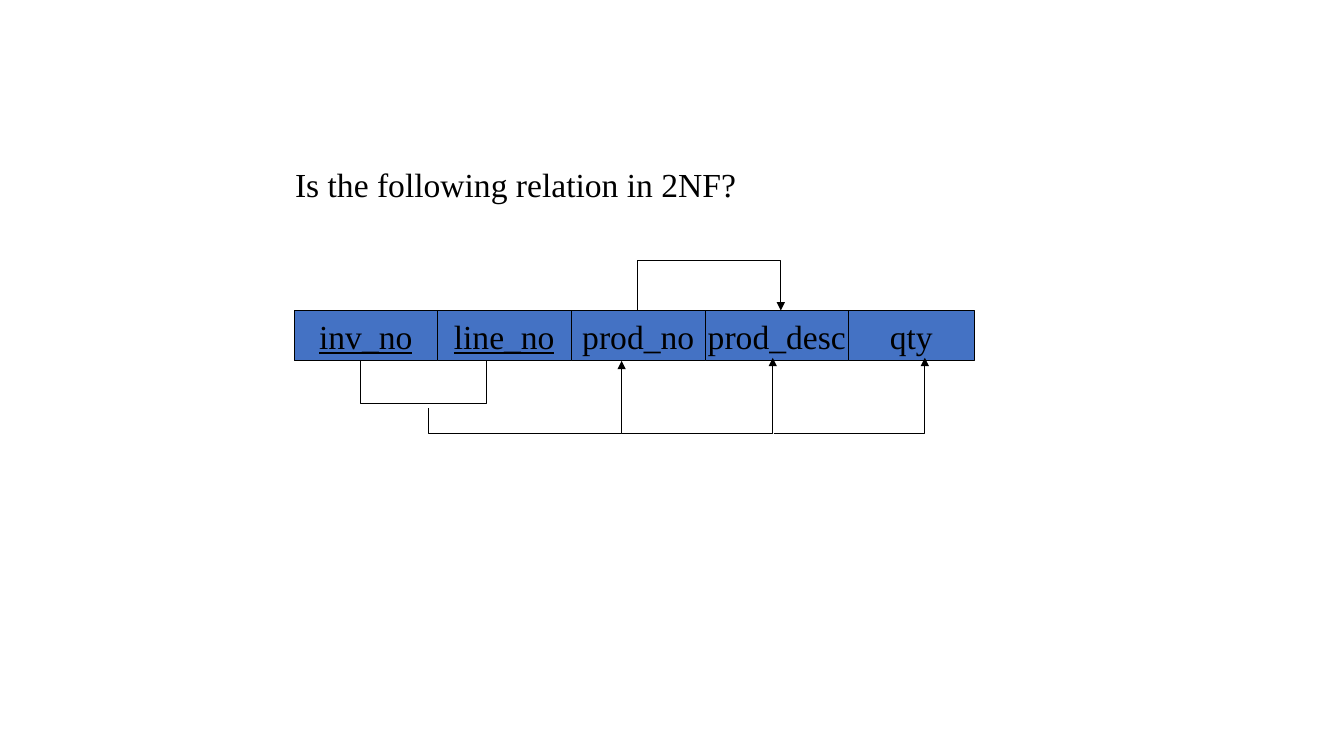
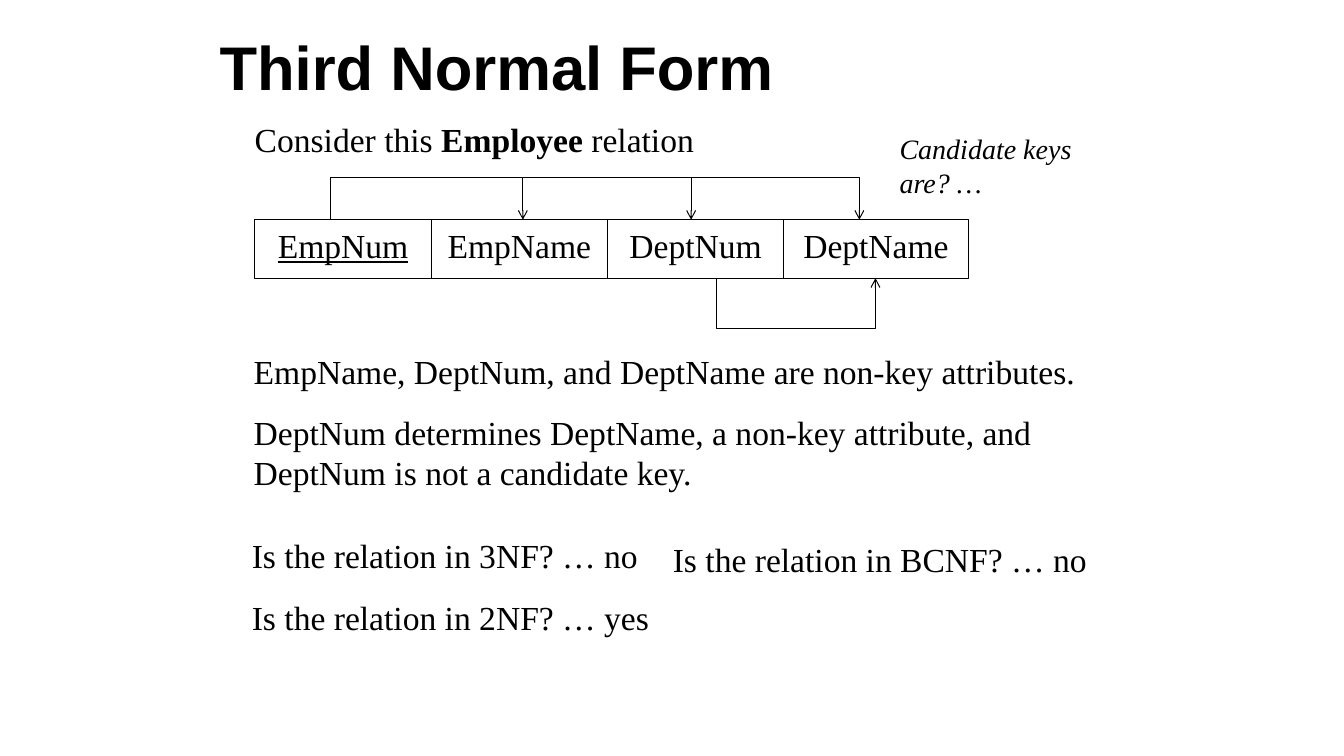
from itertools import accumulate

from lxml import etree
from pptx import Presentation
from pptx.dml.color import RGBColor
from pptx.enum import shapes, text
from pptx.oxml.ns import qn
from pptx.util import Inches, Pt

BLACK = RGBColor(0x00, 0x00, 0x00)
WHITE = RGBColor(0xFF, 0xFF, 0xFF)
BLUE = RGBColor(0x44, 0x72, 0xC4)

BODY = {"name": "Times New Roman", "size": Pt(24)}
TITLE = {"name": "Arial", "size": Pt(44), "bold": True}
NOTE = {**BODY, "size": Pt(20), "italic": True}
TITLE_ONLY, BLANK = 5, 6


def add_span(para, words, **style):
    span = para.add_run()
    span.text = words
    span.font.color.rgb = BLACK
    for name, value in style.items():
        setattr(span.font, name, value)


def add_text(page, box, paragraphs, style=BODY, wrap=True, inset=0.1):
    """Each paragraph is a list of (words, extra format) pairs."""
    frame = page.shapes.add_textbox(*map(Inches, box)).text_frame
    frame.word_wrap = wrap
    frame.margin_left = Inches(inset)
    for index, spans in enumerate(paragraphs):
        para = frame.add_paragraph() if index else frame.paragraphs[0]
        if index:
            para.space_before = Pt(15)
        for words, extra in spans:
            add_span(para, words, **{**style, **extra})


def add_title(page, box, words):
    title = page.shapes.title
    title.left, title.top, title.width, title.height = map(Inches, box)
    frame = title.text_frame
    frame.auto_size = text.MSO_AUTO_SIZE.NONE
    frame.vertical_anchor = text.MSO_ANCHOR.MIDDLE
    para = frame.paragraphs[0]
    para.alignment = text.PP_ALIGN.LEFT
    para.line_spacing = 0.9
    add_span(para, words, **TITLE)


def add_relation(page, origin, height, fields, keys, fill, anchor, wrap):
    """Draw a row of attributes from (name, width) pairs, keys underlined."""
    left, top = origin
    offsets = accumulate((width for _, width in fields), initial=0)
    for (name, width), offset in zip(fields, offsets):
        field = page.shapes.add_shape(
            shapes.MSO_SHAPE.RECTANGLE, Inches(left + offset), Inches(top),
            Inches(width), Inches(height))
        field.shadow.inherit = False
        field.fill.solid()
        field.fill.fore_color.rgb = fill
        field.line.color.rgb = BLACK
        field.line.width = Pt(0.75)
        frame = field.text_frame
        frame.word_wrap = wrap
        frame.vertical_anchor = anchor
        para = frame.paragraphs[0]
        para.alignment = text.PP_ALIGN.CENTER
        add_span(para, name, **BODY, underline=name in keys)


def add_dependency(page, origin, points, arrow=None):
    """Draw a bent line through points measured from the relation's corner."""
    left, top = origin
    start, *rest = [(Inches(left + x), Inches(top + y)) for x, y in points]
    builder = page.shapes.build_freeform(*start)
    builder.add_line_segments(rest, close=False)
    bend = builder.convert_to_shape()
    bend.shadow.inherit = False
    bend.fill.background()
    bend.line.color.rgb = BLACK
    bend.line.width = Pt(0.75)
    if arrow:
        outline = bend.element.spPr.find(qn("a:ln"))
        etree.SubElement(outline, qn("a:tailEnd"), type=arrow)


def build_invoice_slide(deck):
    page = deck.slides.add_slide(deck.slide_layouts[BLANK])
    add_text(page, (2.83, 1.58, 4.58, 0.5),
             [[("Is the following relation in 2NF?", {})]], wrap=False)

    origin, height, bus = (2.92, 3.08), 0.5, 1.22
    fields = [("inv_no", 1.42), ("line_no", 1.33), ("prod_no", 1.33),
              ("prod_desc", 1.42), ("qty", 1.25)]
    add_relation(page, origin, height, fields, ("inv_no", "line_no"), BLUE,
                 text.MSO_ANCHOR.MIDDLE, wrap=False)
    add_dependency(page, origin, [(0.66, height), (0.66, 0.92),
                                  (1.91, 0.92), (1.91, height)])
    for points in (
        [(1.33, 0.97), (1.33, bus), (3.25, bus), (3.25, height)],
        [(3.25, bus), (4.75, bus), (4.75, 0.47)],
        [(4.76, bus), (6.26, bus), (6.26, 0.47)],
        [(3.41, 0), (3.41, -0.5), (4.83, -0.5), (4.83, 0)],
    ):
        add_dependency(page, origin, points, "triangle")


def build_employee_slide(deck):
    page = deck.slides.add_slide(deck.slide_layouts[TITLE_ONLY])
    add_title(page, (2.08, 0.08, 9, 1.25), "Third Normal Form")

    origin, height, bus = (2.53, 2.18), 0.58, -0.42
    fields = [("EmpNum", 1.75), ("EmpName", 1.75), ("DeptNum", 1.75),
              ("DeptName", 1.83)]
    add_relation(page, origin, height, fields, ("EmpNum",), WHITE,
                 text.MSO_ANCHOR.TOP, wrap=True)
    first, step = 2.66, 1.67
    routes = [[(0.75, 0), (0.75, bus), (first, bus), (first, 0)]]
    for start in (first, first + step):
        end = start + step
        routes.append([(start, bus), (end, bus), (end, 0)])
    routes.append([(4.58, height), (4.58, 1.08), (6.16, 1.08),
                   (6.16, height)])
    for points in routes:
        add_dependency(page, origin, points, "arrow")

    add_text(page, (2.42, 3.43, 8.67, 1.51), [
        [("EmpName, DeptNum, and DeptName are non-key attributes.", {})],
        [("DeptNum determines DeptName, a non-key attribute, and "
          "DeptNum is not a candidate key.", {})]])
    add_text(page, (2.43, 1.13, 5, 0.5), [
        [("Consider this", {}), (" Employee ", {"bold": True}),
         ("relation", {})]])
    add_text(page, (2.5, 5.26, 4.33, 1.11), [
        [("Is the relation in 3NF? … no", {})],
        [("Is the relation in 2NF? … yes", {})]], inset=0)
    add_text(page, (6.58, 5.3, 4.31, 0.5),
             [[("Is the relation in BCNF? … no", {})]], wrap=False)
    add_text(page, (8.83, 1.26, 2.08, 0.77),
             [[("Candidate keys are? …", {})]], style=NOTE)


def main():
    deck = Presentation()
    deck.slide_width, deck.slide_height = Inches(13.34), Inches(7.5)
    build_invoice_slide(deck)
    build_employee_slide(deck)
    deck.save("out.pptx")


if __name__ == "__main__":
    main()
